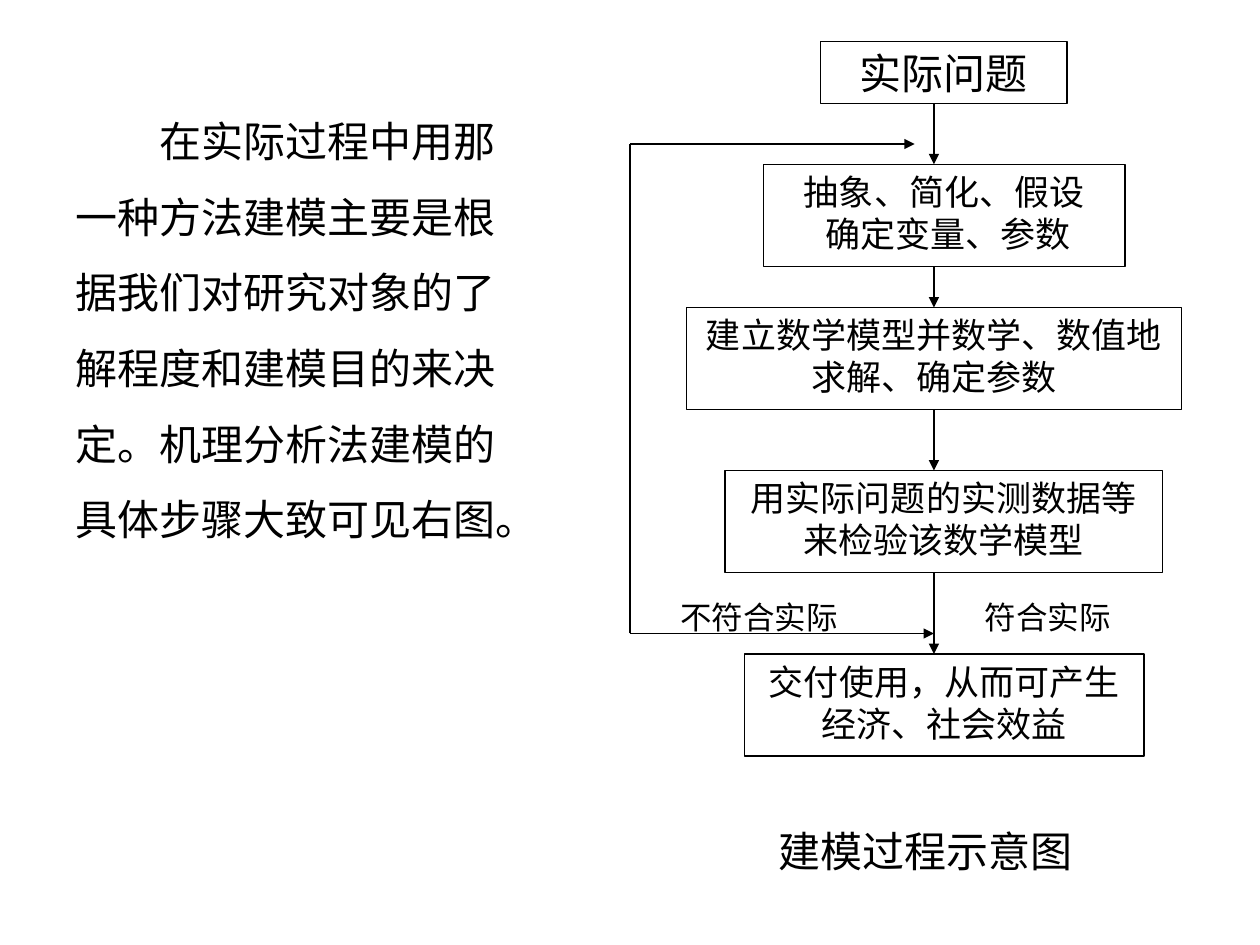
import pptx
import pptx.util
import pptx.dml.color
import pptx.enum.shapes
import pptx.enum.text
import pptx.oxml.ns
from lxml import etree

Pt = pptx.util.Pt
RGB = pptx.dml.color.RGBColor.from_string
ALIGN = pptx.enum.text.PP_ALIGN
COLORS = {"ink": "000000", "paper": "FFFFFF"}
SERIF, SANS = "Times New Roman", "Noto Sans CJK SC"


def write(sp, text, size, font=SERIF, align=ALIGN.LEFT):
    tf = sp.text_frame
    tf.word_wrap = True
    tf.vertical_anchor = pptx.enum.text.MSO_ANCHOR.TOP
    tf.text = text
    for p in tf.paragraphs:
        p.alignment = align
        for r in p.runs:
            r.font.size = Pt(size)
            r.font.name = font
            r.font.color.rgb = RGB(COLORS["ink"])
    return tf


def add_line(x1, y1, x2, y2, arrow=True):
    line = s.shapes.add_connector(
        pptx.enum.shapes.MSO_CONNECTOR.STRAIGHT, Pt(x1), Pt(y1), Pt(x2), Pt(y2))
    line.line.color.rgb = RGB(COLORS["ink"])
    line.line.width = Pt(0.75)
    if arrow:
        etree.SubElement(line.line._get_or_add_ln(),
                         pptx.oxml.ns.qn("a:tailEnd"), type="triangle")
    etree.SubElement(line._element.spPr, pptx.oxml.ns.qn("a:effectLst"))


prs = pptx.Presentation()
prs.slide_width, prs.slide_height = Pt(720), Pt(540)
s = prs.slides.add_slide(prs.slide_layouts[6])

# Explanation on the left
sp = s.shapes.add_textbox(Pt(36), Pt(48.2), Pt(257.8), Pt(309.6))
tf = write(sp, "在实际过程中用那一种方法建模主要是根据我们对研究对象的了解程度和"
               "建模目的来决定。机理分析法建模的具体步骤大致可见右图。", 24)
p = tf.paragraphs[0]
p.line_spacing = 1.5
p._p.get_or_add_pPr().set("indent", str(Pt(48)))

# Branch labels, then the steps from top to bottom:
# left, top, width, height, text, size, font, outline, alignment
labels = [
    (555.8, 338.4, 119.5, 35.3, "符合实际", 18, SERIF, "paper", ALIGN.JUSTIFY),
    (381.6, 338.4, 141.1, 35.3, "不符合实际", 18, SERIF, "paper", ALIGN.JUSTIFY),
]
steps = [
    (468.7, 23.8, 141.1, 35.3, "实际问题", 24, SERIF, "ink", ALIGN.CENTER),
    (436.3, 93.9, 206.6, 58.3, "抽象、简化、假设\n 确定变量、参数", 20, SANS,
     "ink", ALIGN.CENTER),
    (392.4, 175.7, 282.6, 58.3, "建立数学模型并数学、数值地求解、确定参数", 20, SERIF,
     "ink", ALIGN.CENTER),
    (414.3, 268.9, 249.9, 58.3, "用实际问题的实测数据等来检验该数学模型", 20, SERIF,
     "ink", ALIGN.CENTER),
    (425.5, 373.7, 228.2, 58.3, "交付使用，从而可产生经济、社会效益", 20, SERIF,
     "ink", ALIGN.CENTER),
]
for left, top, width, height, text, size, font, outline, align in labels + steps:
    sp = s.shapes.add_shape(pptx.enum.shapes.MSO_SHAPE.RECTANGLE,
                            Pt(left), Pt(top), Pt(width), Pt(height))
    sp.shadow.inherit = False
    sp.fill.solid()
    sp.fill.fore_color.rgb = RGB(COLORS["paper"])
    sp.line.color.rgb = RGB(COLORS[outline])
    sp.line.width = Pt(0.75)
    write(sp, text, size, font, align)

# Arrows between consecutive steps
flow_x = 533.7
for upper, lower in zip(steps, steps[1:]):
    add_line(flow_x, upper[1] + upper[3], flow_x, lower[1])

# Feedback loop
loop_x, loop_top, loop_bottom = 360, 82.3, 362
add_line(loop_x, loop_bottom, flow_x, loop_bottom)
add_line(loop_x, loop_bottom, loop_x, loop_top, arrow=False)
add_line(loop_x, loop_top, 522.7, loop_top)

# Caption
sp = s.shapes.add_textbox(Pt(437.8), Pt(468), Pt(203.8), Pt(36))
write(sp, "建模过程示意图", 24)

prs.save("out.pptx")
